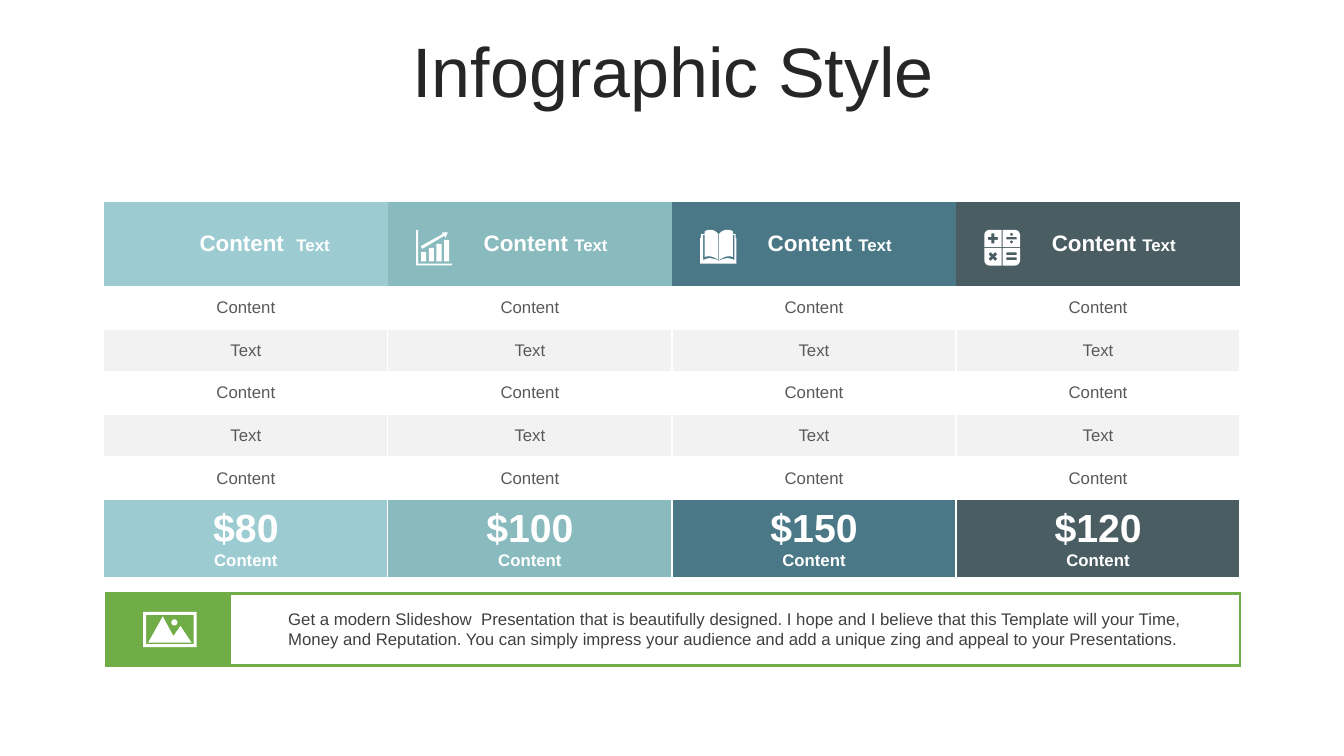
import math
from dataclasses import dataclass

from lxml import etree
from pptx import Presentation
from pptx import util as u
from pptx.dml import color
from pptx.enum import text
from pptx.oxml import ns


@dataclass(frozen=True)
class Theme:
    font: str = "Arial"
    title: str = "262626"
    body: str = "595959"
    note: str = "404040"
    white: str = "FFFFFF"
    band: str = "F2F2F2"
    accent: str = "70AD47"
    plans: tuple = ("9CCCD2", "88BABE", "4A7886", "4A5D62")
    title_size: int = 50
    price_size: int = 28
    header_size: int = 16
    body_size: int = 12


THEME = Theme()
NO_STYLE = "{2D5ABB26-0587-4C30-8999-92F81FD0307C}"
HEADERS = ("Content  ", "Content ", "Content ", "Content ")
FEATURES = ("Content", "Text", "Content", "Text", "Content")
PRICES = ("$80", "$100", "$150", "$120")
NOTE = (
    "Get a modern Slideshow  Presentation that is beautifully designed. "
    "I hope and I believe that this Template will your Time, Money and Reputation. "
    "You can simply impress your audience and add a unique zing and appeal to your Presentations."
)


def rgb(value):
    return color.RGBColor.from_string(value)


def add_run(paragraph, words, size, ink, bold=False):
    run = paragraph.add_run()
    run.text = words
    font = run.font
    font.name, font.size, font.bold = THEME.font, u.Pt(size), bold
    font.color.rgb = rgb(ink)


def rectangle(x, y, width, height):
    return [(x, y), (x + width, y), (x + width, y + height), (x, y + height)]


def circle(x, y, radius, steps=24):
    angles = [2 * math.pi * step / steps for step in range(steps)]
    return [(x + radius * math.cos(a), y + radius * math.sin(a)) for a in angles]


def outline(*nodes, steps=8):
    points = []
    for node in nodes:
        if len(node) == 2:
            points.append(node)
            continue
        controls = [points[-1], node[:2], node[2:4], node[4:]]
        for step in range(1, steps + 1):
            t = step / steps
            weights = ((1 - t) ** 3, 3 * t * (1 - t) ** 2, 3 * t * t * (1 - t), t ** 3)
            points.append(tuple(sum(w * c[axis] for w, c in zip(weights, controls)) for axis in (0, 1)))
    return points


CHART_ICON = [rectangle(5 + 7.6 * bar, 22 - 4 * bar, 5, 9.5 + 4 * bar) for bar in range(4)] + [
    [(25.5, 2.5), (31.5, 2.5), (29, 8), (27.8, 6), (6, 19), (4.5, 16.2), (26.5, 4.2)],
    [(0, 0), (2, 0), (2, 33.5), (35.5, 33.5), (35.5, 35.3), (0, 35.3)],
]
BOOK_ICON = [outline(
    (18, 30.5), (19, 30.5), (25, 28, 28, 27, 34, 30), (34, 5), (32.5, 5), (32.5, 27),
    (28, 25, 23, 27, 18.8, 30), (18.8, 4), (21, 1, 24, 0, 27, 0), (29, -0.2, 30, 0.3, 32.5, 1.5),
    (32.5, 4), (35.2, 4), (35.2, 8), (36, 8), (36, 33.5), (0, 33.5), (0, 8), (0.8, 8), (0.8, 4),
    (4.5, 4), (4.5, 1.5), (7, 0.3, 8, -0.2, 10, 0), (13, 0, 15, 1, 18, 4), (18, 30),
    (14, 27, 9, 25, 4.5, 27), (4.5, 5), (3, 5), (3, 30), (9, 27, 12, 28, 18, 30.5),
)]
CALCULATOR_ICON = [
    outline((5.5, 0), (17.2, 0), (17.2, 17.2), (0, 17.2), (0, 5.5), (0, 2.5, 2.5, 0, 5.5, 0)),
    outline((18.2, 0), (30, 0), (33, 0, 35.5, 2.5, 35.5, 5.5), (35.5, 17.2), (18.2, 17.2)),
    outline((0, 18.2), (17.2, 18.2), (17.2, 35.5), (5.5, 35.5), (2.5, 35.5, 0, 33, 0, 30)),
    outline((18.2, 18.2), (35.5, 18.2), (35.5, 30), (35.5, 33, 33, 35.5, 30, 35.5), (18.2, 35.5)),
    [(7, 3.5), (10, 3.5), (10, 7), (13.5, 7), (13.5, 10), (10, 10), (10, 13.5), (7, 13.5),
     (7, 10), (3.5, 10), (3.5, 7), (7, 7)],
    [(6.2, 22), (8.5, 24.3), (10.8, 22), (13, 24.2), (10.7, 26.5), (13, 28.8), (10.8, 31),
     (8.5, 28.7), (6.2, 31), (4, 28.8), (6.3, 26.5), (4, 24.2)],
    rectangle(22, 7, 10, 2.6), rectangle(22, 22.5, 10, 2.6), rectangle(22, 27.5, 10, 2.6),
    circle(27, 4.5, 1.4), circle(27, 12, 1.4),
]
PHOTO_ICON = [
    rectangle(0, 0, 53, 35), rectangle(3, 3, 47, 29), circle(31, 10.5, 3),
    [(19.5, 4.5), (30, 24), (37, 14), (48, 30.5), (5, 30.5)],
]


def add_icon(slide, contours, left, top):
    scaled = [[(10 * x, 10 * y) for x, y in contour] for contour in contours]
    builder = slide.shapes.build_freeform(*scaled[0][0], scale=u.Inches(0.001))
    builder.add_line_segments(scaled[0][1:], close=True)
    for contour in scaled[1:]:
        builder.move_to(*contour[0])
        builder.add_line_segments(contour[1:], close=True)
    shape = builder.convert_to_shape(u.Inches(left), u.Inches(top))
    shape.shadow.inherit = False
    shape.fill.solid()
    shape.fill.fore_color.rgb = rgb(THEME.white)
    shape.line.fill.background()


def add_plain_table(slide, box, widths, heights):
    frame = slide.shapes.add_table(len(heights), len(widths), *map(u.Inches, box))
    table = frame.table
    table.first_row = table.horz_banding = False
    frame._element.find(".//" + ns.qn("a:tableStyleId")).text = NO_STYLE
    for column, width in zip(table.columns, widths):
        column.width = u.Inches(width)
    for row, height in zip(table.rows, heights):
        row.height = u.Inches(height)
    return table


def paint_cell(cell, fill, border=None, points=1):
    cell.vertical_anchor = text.MSO_ANCHOR.MIDDLE
    if border:
        properties = cell._tc.get_or_add_tcPr()
        for side in ("a:lnL", "a:lnR", "a:lnT", "a:lnB"):
            line = etree.SubElement(properties, ns.qn(side), w=str(u.Pt(points)))
            solid = etree.SubElement(line, ns.qn("a:solidFill"))
            etree.SubElement(solid, ns.qn("a:srgbClr"), val=border)
    cell.fill.solid()
    cell.fill.fore_color.rgb = rgb(fill)


def centred(paragraph):
    paragraph.alignment = text.PP_ALIGN.CENTER
    return paragraph


def add_title(slide, box):
    frame = slide.shapes.add_textbox(*map(u.Inches, box)).text_frame
    frame.word_wrap = True
    frame.vertical_anchor = text.MSO_ANCHOR.MIDDLE
    paragraph = centred(frame.paragraphs[0])
    paragraph.line_spacing = 0.8
    add_run(paragraph, "Infographic Style", THEME.title_size, THEME.title)


def add_pricing(slide, box):
    left, top, width, height = box
    plan_width, icon_width = width / len(PRICES), 0.85
    header, footer = 0.84, 0.77
    feature = (height - header - footer) / len(FEATURES)
    widths = [icon_width, plan_width - icon_width] * len(PRICES)
    table = add_plain_table(slide, box, widths, [header] + [feature] * len(FEATURES) + [footer])
    icons = (None, CHART_ICON, BOOK_ICON, CALCULATOR_ICON)
    for plan, (heading, price, fill, icon) in enumerate(zip(HEADERS, PRICES, THEME.plans, icons)):
        first = 2 * plan
        paint_cell(table.cell(0, first), fill)
        title_cell = table.cell(0, first + 1)
        paint_cell(title_cell, fill)
        paragraph = title_cell.text_frame.paragraphs[0]
        add_run(paragraph, heading, THEME.header_size, THEME.white, True)
        add_run(paragraph, "Text", THEME.body_size, THEME.white, True)

        for row in range(1, len(FEATURES) + 2):
            table.cell(row, first).merge(table.cell(row, first + 1))
        for row, words in enumerate(FEATURES, 1):
            cell = table.cell(row, first)
            paint_cell(cell, THEME.white if row % 2 else THEME.band, THEME.white)
            add_run(centred(cell.text_frame.paragraphs[0]), words, THEME.body_size, THEME.body)

        price_cell = table.cell(len(FEATURES) + 1, first)
        paint_cell(price_cell, fill, THEME.white)
        frame = price_cell.text_frame
        add_run(centred(frame.paragraphs[0]), price, THEME.price_size, THEME.white, True)
        add_run(centred(frame.add_paragraph()), "Content", THEME.body_size, THEME.white, True)
        if icon:
            add_icon(slide, icon, left + plan * plan_width + 0.28, top + 0.28)


def add_note(slide, box):
    left, top, width, height = box
    badge = 1.23
    table = add_plain_table(slide, box, [badge, width - badge], [height])
    for column, fill in enumerate((THEME.accent, THEME.white)):
        paint_cell(table.cell(0, column), fill, THEME.accent, 2.25)
    note_box = (left + 1.71, top + 0.1, 9.29, 0.5)
    frame = slide.shapes.add_textbox(*map(u.Inches, note_box)).text_frame
    frame.word_wrap = True
    add_run(frame.paragraphs[0], NOTE, THEME.body_size, THEME.note)
    add_icon(slide, PHOTO_ICON, left + 0.37, top + 0.18)


def main():
    presentation = Presentation()
    presentation.slide_width, presentation.slide_height = u.Inches(13.33), u.Inches(7.5)
    slide = presentation.slides.add_slide(presentation.slide_layouts[6])
    add_title(slide, (0.35, 0.37, 12.66, 0.79))
    add_pricing(slide, (1.03, 2, 11.27, 3.73))
    add_note(slide, (1.05, 5.89, 11.25, 0.71))
    presentation.save("out.pptx")


if __name__ == "__main__":
    main()
